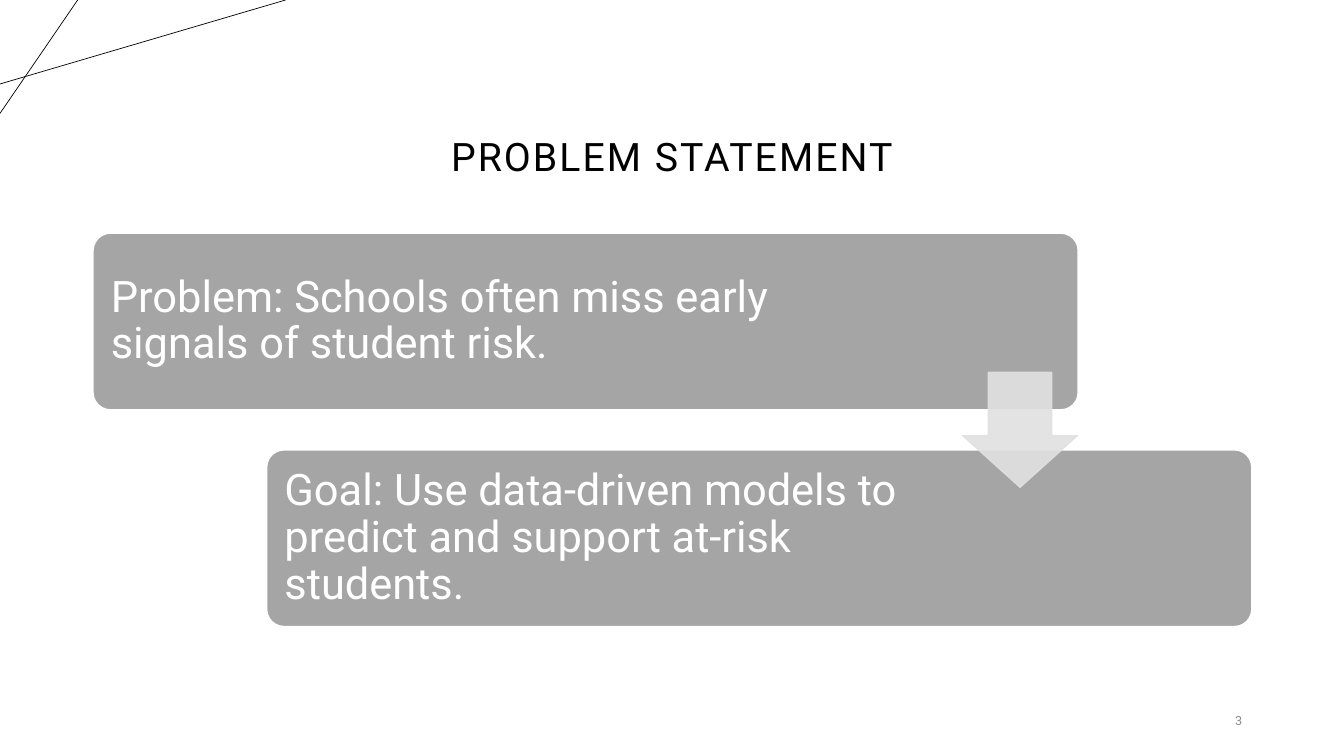
from lxml import etree
from pptx import Presentation
from pptx.dml.color import RGBColor
from pptx.enum.shapes import MSO_CONNECTOR, MSO_SHAPE
from pptx.enum.text import MSO_ANCHOR, MSO_AUTO_SIZE, PP_ALIGN
from pptx.oxml.ns import qn
from pptx.util import Pt

STRAIGHT = MSO_CONNECTOR.STRAIGHT
ROUNDED, DOWN_ARROW = MSO_SHAPE.ROUNDED_RECTANGLE, MSO_SHAPE.DOWN_ARROW
MIDDLE, BOTTOM = MSO_ANCHOR.MIDDLE, MSO_ANCHOR.BOTTOM
LEFT, CENTER, RIGHT = PP_ALIGN.LEFT, PP_ALIGN.CENTER, PP_ALIGN.RIGHT
NO_FIT = MSO_AUTO_SIZE.NONE

BLACK = RGBColor(0x00, 0x00, 0x00)
WHITE = RGBColor(0xFF, 0xFF, 0xFF)
CARD_GRAY = RGBColor(0xA5, 0xA5, 0xA5)
ARROW_GRAY = RGBColor(0xE1, 0xE1, 0xE1)
NUMBER_GRAY = RGBColor(0x8C, 0x8C, 0x8C)

HEADING = "PROBLEM STATEMENT"
PAGE_NUMBER = "3"
STATEMENTS = [
    ("Problem: Schools often miss early signals of student risk.", 133),
    ("Goal: Use data-driven models to predict and support at-risk students.", 216.5),
]
CORNER_LINES = [(0, 60, 204, 0), (55.5, 0, 0, 81)]

CARD_LEFT, CARD_TOP, CARD_WIDTH, CARD_HEIGHT = 66.2, 166.3, 704.2, 126.7
STEP_X, STEP_Y = 124, 154.8
ARROW_SIZE = 82.1


def box(left, top, width, height):
    return Pt(left), Pt(top), Pt(width), Pt(height)


def write(frame, text, size, color, align, anchor):
    frame.word_wrap = True
    frame.auto_size = NO_FIT
    frame.vertical_anchor = anchor
    frame.text = text
    paragraph = frame.paragraphs[0]
    paragraph.alignment = align
    paragraph.font.name = "Roboto"
    paragraph.font.size = Pt(size)
    paragraph.font.color.rgb = color
    return paragraph


def paint(shape, color, line_color, line_width):
    shape.shadow.inherit = False
    shape.fill.solid()
    shape.fill.fore_color.rgb = color
    shape.line.color.rgb = line_color
    shape.line.width = Pt(line_width)


prs = Presentation()
prs.slide_width, prs.slide_height = Pt(960), Pt(540)
slide = prs.slides.add_slide(prs.slide_layouts[5])
shapes = slide.shapes

for ends in CORNER_LINES:
    corner_line = shapes.add_connector(STRAIGHT, *map(Pt, ends))
    corner_line.line.color.rgb = BLACK
    corner_line.line.width = Pt(0.5)
    etree.SubElement(corner_line._element.spPr, qn("a:effectLst"))

heading = shapes.title
heading.left, heading.top, heading.width, heading.height = box(66, 28, 828, 104.5)
heading_line = write(heading.text_frame, HEADING, 28, BLACK, CENTER, BOTTOM)
heading_line.line_spacing = 0.9
heading_line.runs[0]._r.get_or_add_rPr().set("spc", "150")

number = shapes.add_textbox(*box(816.5, 500.4, 77.8, 28.8))
write(number.text_frame, PAGE_NUMBER, 9, NUMBER_GRAY, RIGHT, MIDDLE).space_after = Pt(6)

for i, (statement, right_margin) in enumerate(STATEMENTS):
    card = shapes.add_shape(ROUNDED, *box(
        CARD_LEFT + i * STEP_X, CARD_TOP + i * STEP_Y, CARD_WIDTH, CARD_HEIGHT))
    card.adjustments[0] = 0.1
    paint(card, CARD_GRAY, WHITE, 1.5)
    frame = card.text_frame
    frame.margin_left, frame.margin_right = Pt(9.3), Pt(right_margin)
    write(frame, statement, 31, WHITE, LEFT, MIDDLE).line_spacing = 0.9

gap_middle = CARD_TOP + (CARD_HEIGHT + STEP_Y) / 2
arrow = shapes.add_shape(DOWN_ARROW, *box(
    CARD_LEFT + CARD_WIDTH - ARROW_SIZE - 0.7, gap_middle - ARROW_SIZE / 2,
    ARROW_SIZE, ARROW_SIZE))
arrow.adjustments[0], arrow.adjustments[1] = 0.55, 0.45
paint(arrow, ARROW_GRAY, ARROW_GRAY, 1)
for color in arrow._element.spPr.iter(qn("a:srgbClr")):
    etree.SubElement(color, qn("a:alpha")).set("val", "90000")

prs.save("out.pptx")
